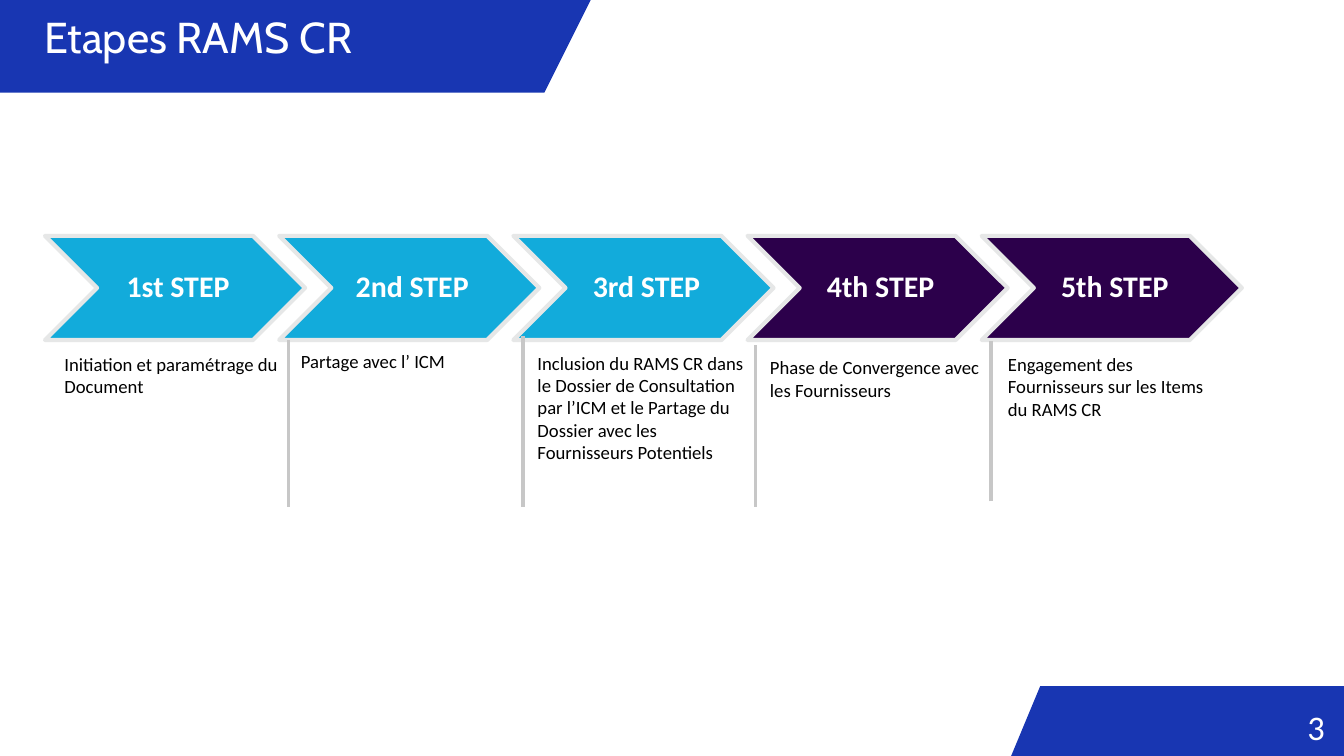
from pptx import Presentation
from pptx.dml.color import RGBColor
from pptx.enum.shapes import MSO_CONNECTOR as LINE, MSO_SHAPE as SHAPE
from pptx.enum.text import MSO_ANCHOR as ANCHOR, MSO_AUTO_SIZE as FIT, PP_ALIGN as ALIGN
from pptx.oxml.ns import qn
from pptx.util import Inches, Pt

BLUE = RGBColor(0x18, 0x36, 0xB2)
CYAN = RGBColor(0x12, 0xAB, 0xDB)
PLUM = RGBColor(0x2C, 0x00, 0x4B)
EDGE = RGBColor(0xE6, 0xE7, 0xE7)
GREY = RGBColor(0xC7, 0xC7, 0xC7)
WHITE = RGBColor(0xFF, 0xFF, 0xFF)
BLACK = RGBColor(0x00, 0x00, 0x00)

deck = Presentation()
deck.slide_width, deck.slide_height = Inches(20), Inches(11.25)
slide = deck.slides.add_slide(deck.slide_layouts[6])
shapes = slide.shapes


def add_hex(left, top, width, height, cut):
    """Blue hexagon whose side points reach out by cut."""
    right, mid, base = left + width, top + height / 2, top + height
    points = [(left + cut, top), (right - cut, top), (right, mid),
              (right - cut, base), (left + cut, base), (left, mid)]
    points = [(Inches(x), Inches(y)) for x, y in points]
    form = shapes.build_freeform(*points[0])
    form.add_line_segments(points[1:], close=True)
    band = form.convert_to_shape()
    band.shadow.inherit = False
    band.fill.solid()
    band.fill.fore_color.rgb = BLUE
    band.line.fill.background()


def add_text(text, box, size, color, face="Calibri", bold=None, align=None,
             space=None, pads=None):
    """Text box; pads are the left, top, right and bottom insets."""
    frame = shapes.add_textbox(*map(Inches, box)).text_frame
    frame.word_wrap = True
    frame.text = text
    if pads:
        (frame.margin_left, frame.margin_top,
         frame.margin_right, frame.margin_bottom) = map(Inches, pads)
    para = frame.paragraphs[0]
    para.alignment = align
    para.line_spacing = space
    font = para.runs[0].font
    font.name, font.size, font.bold = face, Pt(size), bold
    font.color.rgb = color
    return frame


# Title banner and page number
add_hex(-1.5, -3.54, 10.83, 4.92, 1.23)
add_hex(14.08, 10.21, 12.31, 6.72, 1.4)
page = add_text("3", (19.43, 10.41, 0.31, 0.69), 36.9, WHITE,
                align=ALIGN.CENTER, space=Pt(51.6), pads=(0, 0, 0, 0))
title = add_text("Etapes RAMS CR", (0.66, 0.22, 8.85, 0.71), 46.3, WHITE,
                 face="Cabin", space=Pt(50.9), pads=(0, 0, 0, 0))
for frame in (page, title):
    frame.auto_size = FIT.SHAPE_TO_FIT_TEXT

# Steps: label, colour, note, box of the note
steps = [
    ("1st STEP", CYAN, "Initiation et paramétrage du Document",
     (0.86, 5.2, 3.51, 2.03)),
    ("2nd STEP", CYAN, "Partage avec l’ ICM", (4.38, 5.16, 3.37, 1.65)),
    ("3rd STEP", CYAN,
     "Inclusion du RAMS CR dans le Dossier de Consultation par l’ICM "
     "et le Partage du Dossier avec les Fournisseurs Potentiels",
     (7.9, 5.18, 3.31, 1.65)),
    ("4th STEP", PLUM, "Phase de Convergence avec les Fournisseurs",
     (11.36, 5.25, 3.34, 1.65)),
    ("5th STEP", PLUM, "Engagement des Fournisseurs sur les Items du RAMS CR",
     (14.9, 5.2, 3.18, 1.65)),
]
START, PITCH, TOP, WIDTH, HEIGHT = 0.67, 3.485, 3.51, 3.87, 1.55
for i, (label, color, note, box) in enumerate(steps):
    left = START + i * PITCH
    arrow = shapes.add_shape(SHAPE.CHEVRON, *map(Inches, (left, TOP, WIDTH, HEIGHT)))
    arrow.shadow.inherit = False
    arrow.fill.solid()
    arrow.fill.fore_color.rgb = color
    arrow.line.color.rgb = EDGE
    arrow.line.width = Pt(4.5)
    frame = add_text(label, (left + HEIGHT / 2, TOP, WIDTH - HEIGHT, HEIGHT),
                     32, WHITE, bold=True, align=ALIGN.CENTER, space=0.9,
                     pads=(0.14, 0.05, 0.05, 0.05))
    frame.vertical_anchor = ANCHOR.MIDDLE
    add_text(note, box, 20, BLACK)

# Dividers between the notes: x, bottom, top
for x, base, top in [(4.29, 7.54, 5.06), (7.78, 7.54, 5),
                     (11.24, 7.54, 5.13), (14.75, 7.46, 5.08)]:
    rule = shapes.add_connector(LINE.STRAIGHT, *map(Inches, (x, base, x, top)))
    rule.line.color.rgb = GREY
    rule.line.width = Pt(3.75)
    props = rule._element.spPr
    props.append(props.makeelement(qn("a:effectLst"), {}))

deck.save("out.pptx")
